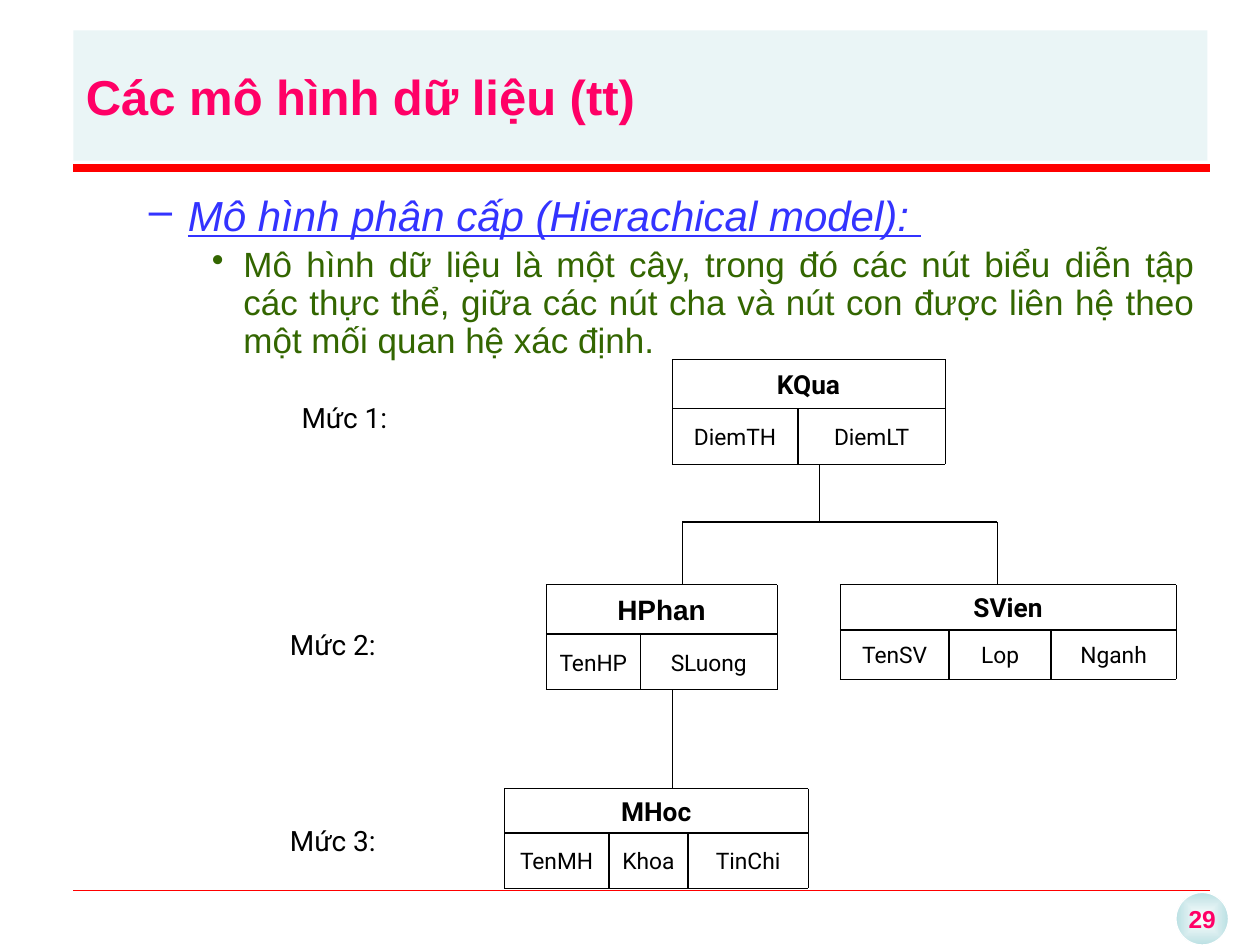
from dataclasses import dataclass
from itertools import pairwise

from lxml import etree
from pptx import Presentation
from pptx import util as u
from pptx.dml.color import RGBColor
from pptx.enum import shapes, text
from pptx.oxml.ns import qn

COLUMN = u.Inches(10) / 120
ROW = u.Inches(7.5) / 90
CENTER, JUSTIFY = text.PP_ALIGN.CENTER, text.PP_ALIGN.JUSTIFY
MIDDLE, TOP = text.MSO_ANCHOR.MIDDLE, text.MSO_ANCHOR.TOP


@dataclass(frozen=True)
class Theme:
    sans: str = "Arial"
    label: str = "Roboto"
    accent: str = "FF0066"
    rule: str = "FF0000"
    tint: str = "BBE0E3"
    paper: str = "FFFFFF"
    ink: str = "000000"
    heading: str = "3333FF"
    body: str = "336600"
    title_size: int = 28
    heading_size: int = 24
    body_size: int = 20
    level_size: int = 16
    node_size: int = 15
    field_size: int = 13
    number_size: int = 14
    thin: float = 0.5
    medium: float = 1


THEME = Theme()

NODES = [
    ("KQua", (34.2, 38.9, 44.2), (64, 76, 90), ("DiemTH", "DiemLT"), {}),
    ("HPhan", (55.7, 60.4, 65.7), (52, 61, 74), ("TenHP", "SLuong"),
     {"name": THEME.sans, "size": u.Pt(16)}),
    ("SVien", (55.7, 60, 64.7), (80, 90.4, 100.1, 112),
     ("TenSV", "Lop", "Nganh"), {}),
    ("MHoc", (75.1, 79.3, 84.6), (48, 58, 65.5, 77),
     ("TenMH", "Khoa", "TinChi"), {}),
]
LINKS = [
    (78, 44.2, 78, 49.7, THEME.thin),
    (65, 49.7, 95, 49.7, THEME.medium),
    (65, 49.7, 65, 55.7, THEME.thin),
    (95, 49.7, 95, 55.7, THEME.thin),
    (64, 65.7, 64, 75.1, THEME.thin),
]
LEVELS = [("Mức 1:", 27.5, 37.6), ("Mức 2:", 26.4, 59.2), ("Mức 3:", 26.4, 77.8)]


def apply(target, values):
    for key, value in values.items():
        setattr(target, key, value)


def place(left, top, width, height):
    return [round(n) for n in (left * COLUMN, top * ROW, width * COLUMN, height * ROW)]


def font(name, size, color, **extra):
    return {"name": name, "size": u.Pt(size), "color": color, **extra}


def write(paragraph, words, style, **layout):
    apply(paragraph, layout)
    run = paragraph.add_run()
    run.text = words
    apply(run.font, {k: v for k, v in style.items() if k != "color"})
    run.font.color.rgb = RGBColor.from_string(style["color"])


def label(slide, words, area, style, anchor=MIDDLE, wrap=True, **layout):
    frame = slide.shapes.add_textbox(*place(*area)).text_frame
    apply(frame, {"word_wrap": wrap, "vertical_anchor": anchor})
    if wrap:
        apply(frame, {"margin_left": u.Inches(0.05), "margin_right": u.Inches(0.05)})
    write(frame.paragraphs[0], words, style, alignment=CENTER, **layout)


def rule(slide, x1, y1, x2, y2, weight, color=THEME.ink):
    line = slide.shapes.add_connector(
        shapes.MSO_CONNECTOR.STRAIGHT, *place(x1, y1, x2, y2))
    line.line.width = u.Pt(weight)
    line.line.color.rgb = RGBColor.from_string(color)
    etree.SubElement(line._element.spPr, qn("a:effectLst"))


def panel(slide, area, fill, kind=shapes.MSO_SHAPE.RECTANGLE):
    block = slide.shapes.add_shape(kind, *place(*area))
    block.shadow.inherit = False
    block.fill.solid()
    block.fill.fore_color.rgb = RGBColor.from_string(fill)
    block.line.fill.background()
    return block


def title_band(slide):
    band = panel(slide, (7, 2.9, 108, 12.4), THEME.tint)
    tint = band._element.spPr.find(qn("a:solidFill"))[0]
    etree.SubElement(tint, qn("a:alpha"), val="30000")
    band.text_frame.vertical_anchor = MIDDLE
    write(band.text_frame.paragraphs[0], "Các mô hình dữ liệu (tt)",
          font(THEME.sans, THEME.title_size, THEME.accent, bold=True),
          alignment=text.PP_ALIGN.LEFT)


def bullet(paragraph, mark, left, hanging, words, style):
    write(paragraph, words, style, alignment=JUSTIFY, line_spacing=0.9,
          space_before=round(style["size"] * 0.2))
    properties = paragraph._p.get_or_add_pPr()
    properties.set("marL", str(u.Inches(left)))
    properties.set("indent", str(-u.Inches(hanging)))
    etree.SubElement(properties, qn("a:buChar"), char=mark)


def explanation(slide):
    frame = panel(slide, (7, 18, 108, 65), THEME.paper).text_frame
    apply(frame, {"word_wrap": True, "vertical_anchor": TOP})
    bullet(frame.paragraphs[0], "–", 0.81, 0.31,
           "Mô hình phân cấp (Hierachical model): ",
           font(THEME.sans, THEME.heading_size, THEME.heading,
                italic=True, underline=True))
    bullet(frame.add_paragraph(), "•", 1.25, 0.25,
           "Mô hình dữ liệu là một cây, trong đó các nút biểu diễn tập các thực thể, "
           "giữa các nút cha và nút con được liên hệ theo một mối quan hệ xác định.",
           font(THEME.sans, THEME.body_size, THEME.body))


def node(slide, name, rows, edges, fields, name_style):
    top, split, bottom = rows
    left, right = edges[0], edges[-1]
    header = font(THEME.label, THEME.node_size, THEME.ink, bold=True) | name_style
    label(slide, name, (left, top, right - left, split - top), header,
          space_before=u.Pt(3))
    for field, (start, end) in zip(fields, pairwise(edges)):
        label(slide, field, (start, split, end - start, bottom - split),
              font(THEME.label, THEME.field_size, THEME.ink), space_before=u.Pt(2.6))
    for edge in edges[1:-1]:
        rule(slide, edge, split, edge, bottom, THEME.medium)
    rule(slide, left, split, right, split, THEME.medium)
    for side in (left, right):
        rule(slide, side, top, side, bottom, THEME.thin)
    for border in (top, bottom):
        rule(slide, left, border, right, border, THEME.thin)


def page_number(slide):
    badge = panel(slide, (112, 85, 5, 5), THEME.paper, shapes.MSO_SHAPE.OVAL)
    badge.line.color.rgb = RGBColor.from_string(THEME.paper)
    badge.line.width = u.Pt(0.75)
    badge.fill.gradient()
    for stop, color in zip(badge.fill.gradient_stops, (THEME.paper, THEME.tint)):
        stop.color.rgb = RGBColor.from_string(color)
    gradient = badge._element.spPr.find(qn("a:gradFill"))
    gradient.remove(gradient.find(qn("a:lin")))
    shade = etree.SubElement(gradient, qn("a:path"), path="shape")
    etree.SubElement(shade, qn("a:fillToRect"),
                     dict.fromkeys("ltrb", "50000"))
    apply(badge.text_frame, {"word_wrap": False, "vertical_anchor": MIDDLE})
    write(badge.text_frame.paragraphs[0], "29",
          font(THEME.sans, THEME.number_size, THEME.accent, bold=True),
          alignment=CENTER)


def main():
    deck = Presentation()
    apply(deck, {"slide_width": u.Inches(10), "slide_height": u.Inches(7.5)})
    slide = deck.slides.add_slide(deck.slide_layouts[6])
    page_number(slide)
    rule(slide, 7, 84.8, 115.2, 84.8, 0.25, THEME.rule)
    rule(slide, 7, 16, 115.2, 16, 4.5, THEME.rule)
    title_band(slide)
    explanation(slide)
    for entry in NODES:
        node(slide, *entry)
    for link in LINKS:
        rule(slide, *link)
    for words, left, top in LEVELS:
        label(slide, words, (left, top, 10.6, 4.4),
              font(THEME.label, THEME.level_size, THEME.ink), anchor=TOP, wrap=False)
    deck.save("out.pptx")


if __name__ == "__main__":
    main()
